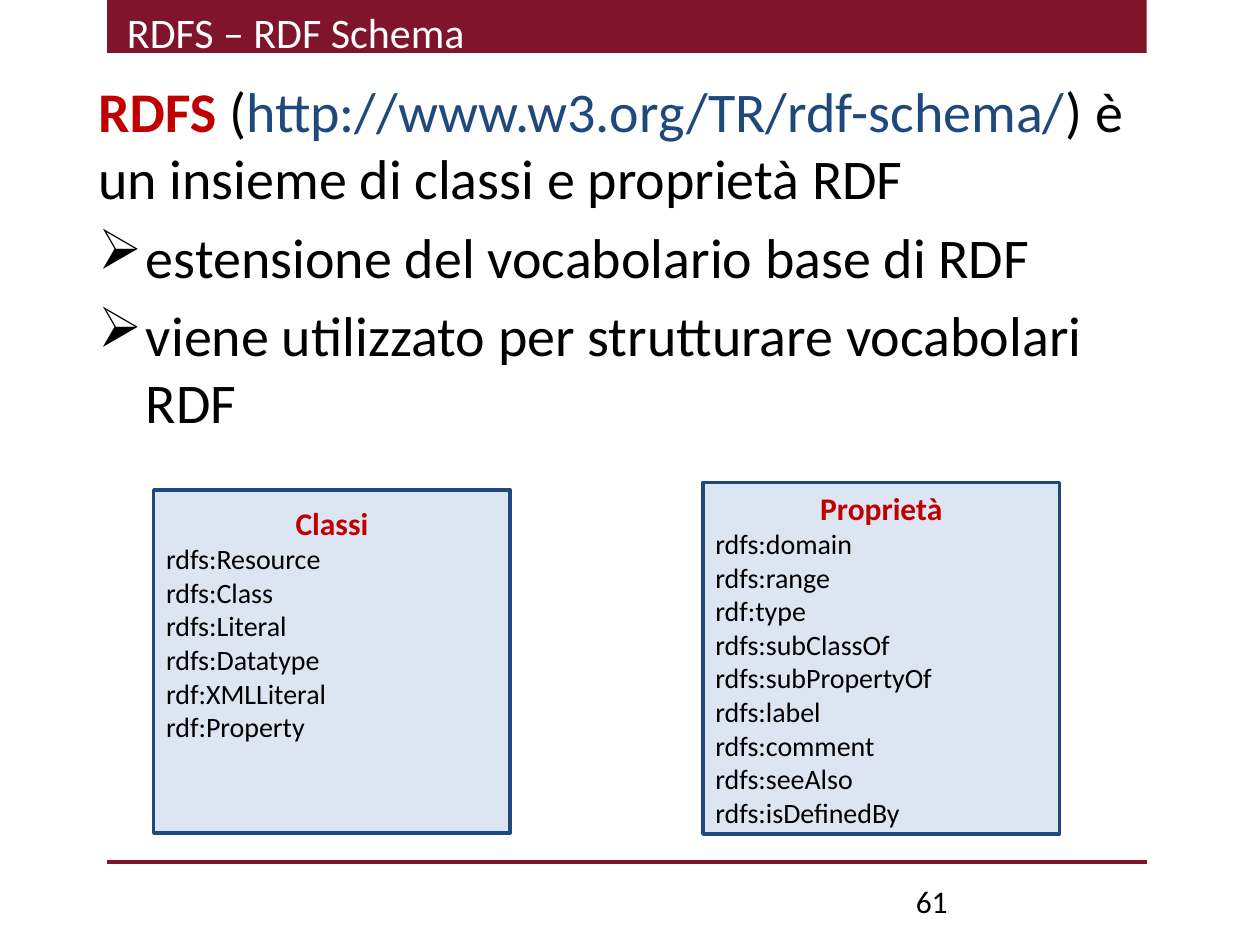
import pptx
import pptx.util
import pptx.dml.color
import pptx.enum.shapes
import pptx.enum.text
import lxml.etree
import pptx.oxml.ns

Inches = pptx.util.Inches
Pt = pptx.util.Pt
RECT = pptx.enum.shapes.MSO_SHAPE.RECTANGLE
ALIGN = pptx.enum.text.PP_ALIGN
WINE, RED, BLUE, PALE = "7F142A", "C00000", "1F497D", "DCE6F2"
BLACK, WHITE = "000000", "FFFFFF"


def paint(target, color):
    """Give a font, line or fill a solid colour."""
    if hasattr(target, "solid"):
        target.solid()
        target.fore_color.rgb = pptx.dml.color.RGBColor.from_string(color)
    else:
        target.color.rgb = pptx.dml.color.RGBColor.from_string(color)


def write(para, text, size, color, bold=False):
    """Add one run to a paragraph."""
    run = para.add_run()
    run.text = text
    run.font.name = "Calibri"
    run.font.size = Pt(size)
    run.font.bold = bold
    paint(run.font, color)


deck = pptx.Presentation()
deck.slide_width, deck.slide_height = Inches(10), Inches(7.5)
slide = deck.slides.add_slide(deck.slide_layouts[6])
shapes = slide.shapes

# Header band
band = shapes.add_shape(RECT, Inches(0.85), 0, Inches(8.25), Inches(0.42))
band.shadow.inherit = False
paint(band.fill, WINE)
band.line.fill.background()

# Footer rule
rule = shapes.add_connector(pptx.enum.shapes.MSO_CONNECTOR.STRAIGHT,
                            Inches(0.85), Inches(6.84), Inches(9.1), Inches(6.84))
paint(rule.line, WINE)
rule.line.width = Pt(2)
lxml.etree.SubElement(rule._element.spPr, pptx.oxml.ns.qn("a:effectLst"))

# Introduction and bullets
body = shapes.add_textbox(Inches(0.68), Inches(0.56), Inches(8.82), Inches(3.27))
frame = body.text_frame
frame.word_wrap = True
intro = frame.paragraphs[0]
write(intro, "RDFS", 32, RED, True)
write(intro, " (", 32, BLACK)
write(intro, "http://www.w3.org/TR/rdf-schema/", 32, BLUE)
write(intro, ") è un insieme di classi e proprietà RDF", 32, BLACK)
for point in ("estensione del vocabolario base di RDF",
              "viene utilizzato per strutturare vocabolari RDF"):
    para = frame.add_paragraph()
    props = para._p.get_or_add_pPr()
    props.set("marL", str(Inches(0.38)))
    props.set("indent", str(-Inches(0.38)))
    mark = lxml.etree.SubElement(props, pptx.oxml.ns.qn("a:buChar"))
    mark.set("char", "➢")
    para.space_before = Pt(6.4)
    write(para, point, 32, BLACK)

# Boxes of classes and properties: left, top, height, top inset, title, terms
boxes = [
    (1.22, 3.89, 2.72, 0.11, "Classi",
     ["rdfs:Resource", "rdfs:Class", "rdfs:Literal", "rdfs:Datatype",
      "rdf:XMLLiteral", "rdf:Property"]),
    (5.58, 3.83, 2.79, 0.05, "Proprietà",
     ["rdfs:domain", "rdfs:range", "rdf:type", "rdfs:subClassOf",
      "rdfs:subPropertyOf", "rdfs:label", "rdfs:comment", "rdfs:seeAlso",
      "rdfs:isDefinedBy"]),
]
for left, top, height, inset, title, terms in boxes:
    box = shapes.add_shape(RECT, Inches(left), Inches(top),
                           Inches(2.83), Inches(height))
    box.shadow.inherit = False
    paint(box.fill, PALE)
    paint(box.line, BLUE)
    box.line.width = Pt(2)
    frame = box.text_frame
    frame.word_wrap = True
    frame.vertical_anchor = pptx.enum.text.MSO_ANCHOR.TOP
    frame.margin_top = Inches(inset)
    head = frame.paragraphs[0]
    head.alignment = ALIGN.CENTER
    write(head, title, 18, RED, True)
    for term in terms:
        para = frame.add_paragraph()
        para.alignment = ALIGN.LEFT
        write(para, term, 16, BLACK)

# Page number
page = shapes.add_textbox(Inches(7.17), Inches(6.95), Inches(2.33), Inches(0.4))
page.text_frame.word_wrap = True
write(page.text_frame.paragraphs[0], "61", 18, BLACK)

# Slide title
name = shapes.add_textbox(Inches(0.91), 0, Inches(2.9), Inches(0.5))
name.text_frame.word_wrap = False
name.text_frame.auto_size = pptx.enum.text.MSO_AUTO_SIZE.SHAPE_TO_FIT_TEXT
write(name.text_frame.paragraphs[0], "RDFS – RDF Schema", 24, WHITE)

deck.save("out.pptx")
